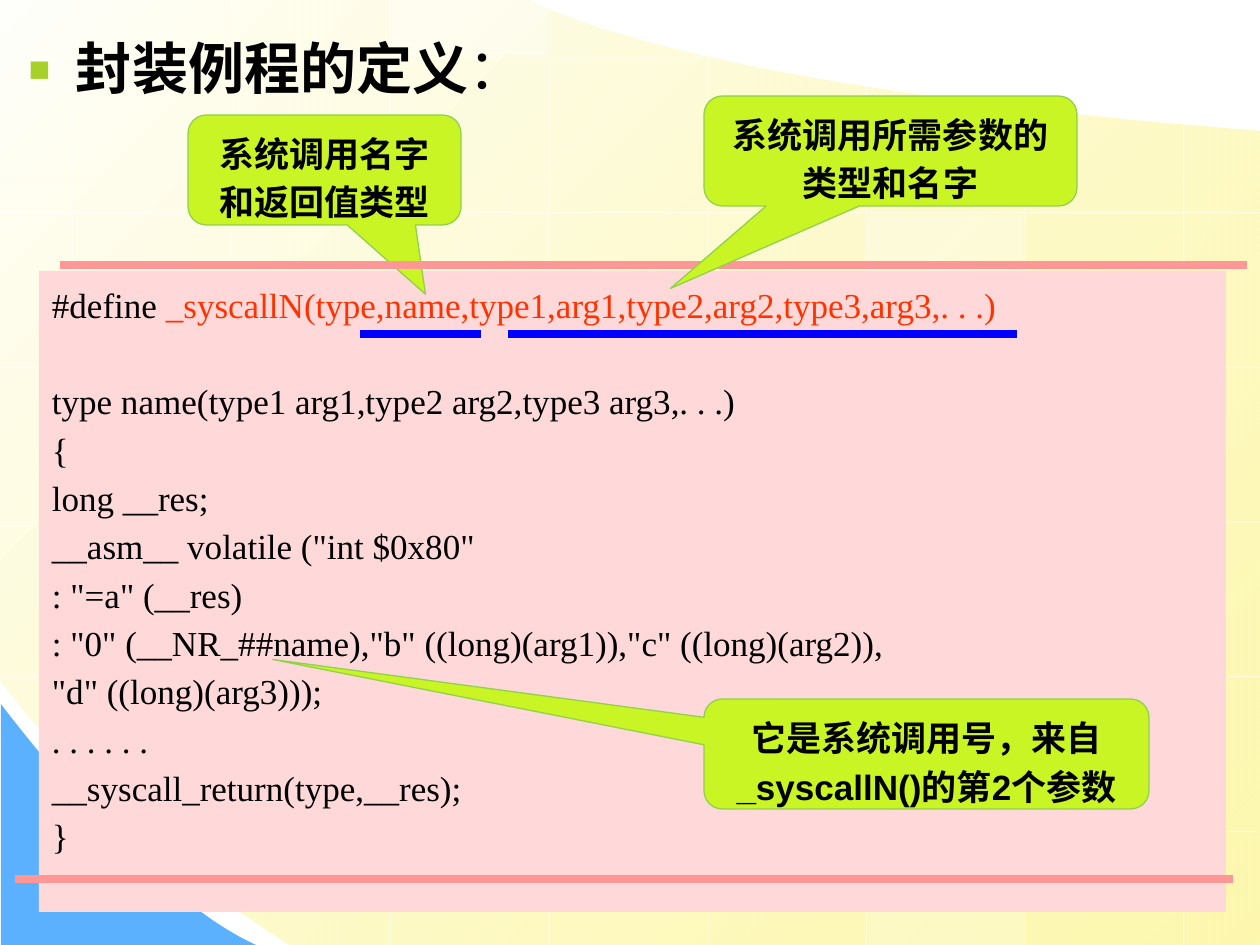
from lxml.etree import SubElement
from pptx import Presentation
from pptx.dml.color import RGBColor
from pptx.enum.shapes import MSO_CONNECTOR, MSO_SHAPE
from pptx.enum.text import MSO_ANCHOR, MSO_AUTO_SIZE, PP_ALIGN
from pptx.oxml.ns import qn
from pptx.util import Pt

PX = 914400 / 126
WIDTH, HEIGHT = 1260, 945
COLORS = {
    "white": "FFFFFF", "cream": "FFFFFB", "yellow": "FDF58D", "sky": "5CB1FE",
    "code": "FFD9D9", "rule": "FF9797", "underline": "0000FF", "callout": "C8F523",
    "edge": "92D050", "bullet": "A8D02A", "text": "000000", "macro": "FF3300",
}

TITLE = [("封装例程的定义", True), ("：", False)]
MACRO = ("#define ", "_syscallN(type,name,type1,arg1,type2,arg2,type3,arg3,. . .)")
BODY = [
    "type name(type1 arg1,type2 arg2,type3 arg3,. . .)",
    "{",
    "long __res;",
    '__asm__ volatile ("int $0x80"',
    ': "=a" (__res)',
    ': "0" (__NR_##name),"b" ((long)(arg1)),"c" ((long)(arg2)),',
    '"d" ((long)(arg3)));',
    ". . . . . .",
    "__syscall_return(type,__res);",
    "}",
]
# box, tail position, paragraphs
NAME_CALLOUT = ((188, 115, 273, 110), (0.37, 1.13), ["系统调用名字", "和返回值类型"])
OTHER_CALLOUTS = [
    ((704, 699, 445, 110), (-1.47, -0.86), ["它是系统调用号，来自_syscallN()的第2个参数"]),
    ((704, 96, 373, 110), (-0.59, 1.25), ["系统调用所需参数的类型和名字"]),
]
# start x, end x, y, colour
RULES = [
    (508, 1017, 334, "underline"), (360, 481, 334, "underline"),
    (15, 1233, 879, "rule"), (60, 1247, 265, "rule"),
]
# Top and bottom of each vertical, left and right of each horizontal grid line
GRID_COLUMNS = [(0, 767), (0, 906), (0, 945), (0, 945),
                (54, 945), (86, 945), (107, 945), (123, 945)]
GRID_ROWS = [(0, 716)] + [(0, 1260)] * 4 + [(140, 1256)]
# box, opacity in percent
TILES = [((869, 835, 155, 110), 20), ((392, 0, 155, 55), 40), ((868, 215, 155, 149), 30)]


def px(*values):
    return [round(value * PX) for value in values]


def rgb(name):
    return RGBColor.from_string(COLORS[name])


def set_opacity(element, percent):
    for color in element.iter(qn("a:srgbClr")):
        SubElement(color, qn("a:alpha"), val=str(percent * 1000))


def curve(start, control1, control2, end, steps=24):
    """Return points along a cubic Bezier curve."""
    points = []
    for step in range(steps + 1):
        t = step / steps
        weights = ((1 - t) ** 3, 3 * t * (1 - t) ** 2, 3 * t * t * (1 - t), t ** 3)
        points.append(tuple(
            sum(weight * value for weight, value in zip(weights, values))
            for values in zip(start, control1, control2, end)))
    return points


def add_outline(slide, points):
    builder = slide.shapes.build_freeform(*px(*points[0]), scale=1.0)
    builder.add_line_segments([px(*point) for point in points[1:]], close=True)
    shape = builder.convert_to_shape()
    shape.shadow.inherit = False
    shape.line.fill.background()
    return shape


def add_box(slide, kind, box, fill):
    shape = slide.shapes.add_shape(kind, *px(*box))
    shape.shadow.inherit = False
    shape.fill.solid()
    shape.fill.fore_color.rgb = rgb(fill)
    shape.line.fill.background()
    return shape


def add_line(slide, start, end, color, width):
    line = slide.shapes.add_connector(MSO_CONNECTOR.STRAIGHT, *px(*start, *end))
    line.line.color.rgb = rgb(color)
    line.line.width = Pt(width)
    SubElement(line.element.spPr, qn("a:effectLst"))
    return line


def prepare_frame(shape):
    frame = shape.text_frame
    frame.word_wrap = True
    frame.auto_size = MSO_AUTO_SIZE.NONE
    frame.vertical_anchor = MSO_ANCHOR.TOP
    frame.margin_left, frame.margin_top, frame.margin_right, frame.margin_bottom = px(
        13, 6, 13, 6)
    return frame


def style(font, name, size, color="text", bold=False):
    font.name, font.size, font.bold = name, Pt(size), bold
    font.color.rgb = rgb(color)


def add_background(slide):
    top_curve = curve((530, 0), (530, 1), (677, 87), (1260, 131))
    left_curve = curve((290, 945), (108, 833), (0, 679), (0, 679))
    panel = add_outline(slide, [(0, 0)] + top_curve + [(1260, 945)] + left_curve)
    panel.fill.gradient()
    panel.fill.gradient_angle = 315
    for stop, color in zip(panel.fill.gradient_stops, ("cream", "yellow")):
        stop.color.rgb = rgb(color)
    set_opacity(panel.element.findall(".//" + qn("a:gs"))[-1], 70)

    corner = add_outline(
        slide, [(1, 945)] + curve((1, 704), (1, 704), (141, 893), (256, 945)))
    corner.fill.solid()
    corner.fill.fore_color.rgb = rgb("sky")

    for index, (top, bottom) in enumerate(GRID_COLUMNS):
        x = 73 + 158.7 * index
        set_opacity(add_line(slide, (x, top), (x, bottom), "white", 0.75).element, 50)
    for index, (left, right) in enumerate(GRID_ROWS):
        y = 58 + 154.7 * index
        set_opacity(add_line(slide, (left, y), (right, y), "white", 0.75).element, 50)
    for box, opacity in TILES:
        set_opacity(add_box(slide, MSO_SHAPE.RECTANGLE, box, "white").element, opacity)


def add_title(slide):
    title = slide.shapes.title
    title.element.getparent().append(title.element)  # in front of the background
    title.left, title.top, title.width, title.height = px(15, 35, 617, 97)
    paragraph = prepare_frame(title).paragraphs[0]
    paragraph.alignment = PP_ALIGN.LEFT
    paragraph.line_spacing = 0.9
    properties = paragraph._p.get_or_add_pPr()
    indent = px(48)[0]
    properties.set("marL", str(indent))
    properties.set("indent", str(-indent))
    bullet_color = SubElement(properties, qn("a:buClr"))
    SubElement(bullet_color, qn("a:srgbClr"), val=COLORS["bullet"])
    SubElement(properties, qn("a:buSzPct"), val="125000")
    SubElement(properties, qn("a:buFont"), typeface="Arial")
    SubElement(properties, qn("a:buChar"), char="▪")
    for text, bold in TITLE:
        run = paragraph.add_run()
        run.text = text
        style(run.font, "Times New Roman", 32, bold=bold)


def add_code(slide):
    panel = add_box(slide, MSO_SHAPE.RECTANGLE, (39, 271, 1187, 641), "code")
    frame = prepare_frame(panel)
    for text, color in zip(MACRO, ("text", "macro")):
        run = frame.paragraphs[0].add_run()
        run.text = text
        style(run.font, "Times New Roman", 20, color)
    for text in BODY:
        paragraph = frame.add_paragraph()
        paragraph.text = text
        style(paragraph.runs[0].font, "Times New Roman", 20)
    for paragraph in frame.paragraphs:
        paragraph.alignment = PP_ALIGN.JUSTIFY
        paragraph.line_spacing = 1.15
    frame.paragraphs[1].space_before = Pt(27.6)


def add_callout(slide, box, tail, lines):
    callout = add_box(slide, MSO_SHAPE.ROUNDED_RECTANGULAR_CALLOUT, box, "callout")
    callout.adjustments[0], callout.adjustments[1] = tail
    callout.line.color.rgb = rgb("edge")
    callout.line.width = Pt(0.75)
    frame = prepare_frame(callout)
    frame.text = "\n".join(lines)
    for paragraph in frame.paragraphs:
        paragraph.alignment = PP_ALIGN.CENTER
        paragraph.line_spacing = 1.15
        style(paragraph.runs[0].font, "Arial", 20, bold=True)


def main():
    presentation = Presentation()
    presentation.slide_width, presentation.slide_height = px(WIDTH, HEIGHT)
    slide = presentation.slides.add_slide(presentation.slide_layouts[5])
    add_background(slide)
    add_code(slide)
    add_title(slide)
    add_callout(slide, *NAME_CALLOUT)
    for left, right, y, color in RULES:
        add_line(slide, (left, y), (right, y), color, 4.5)
    for callout in OTHER_CALLOUTS:
        add_callout(slide, *callout)
    presentation.save("out.pptx")


if __name__ == "__main__":
    main()
